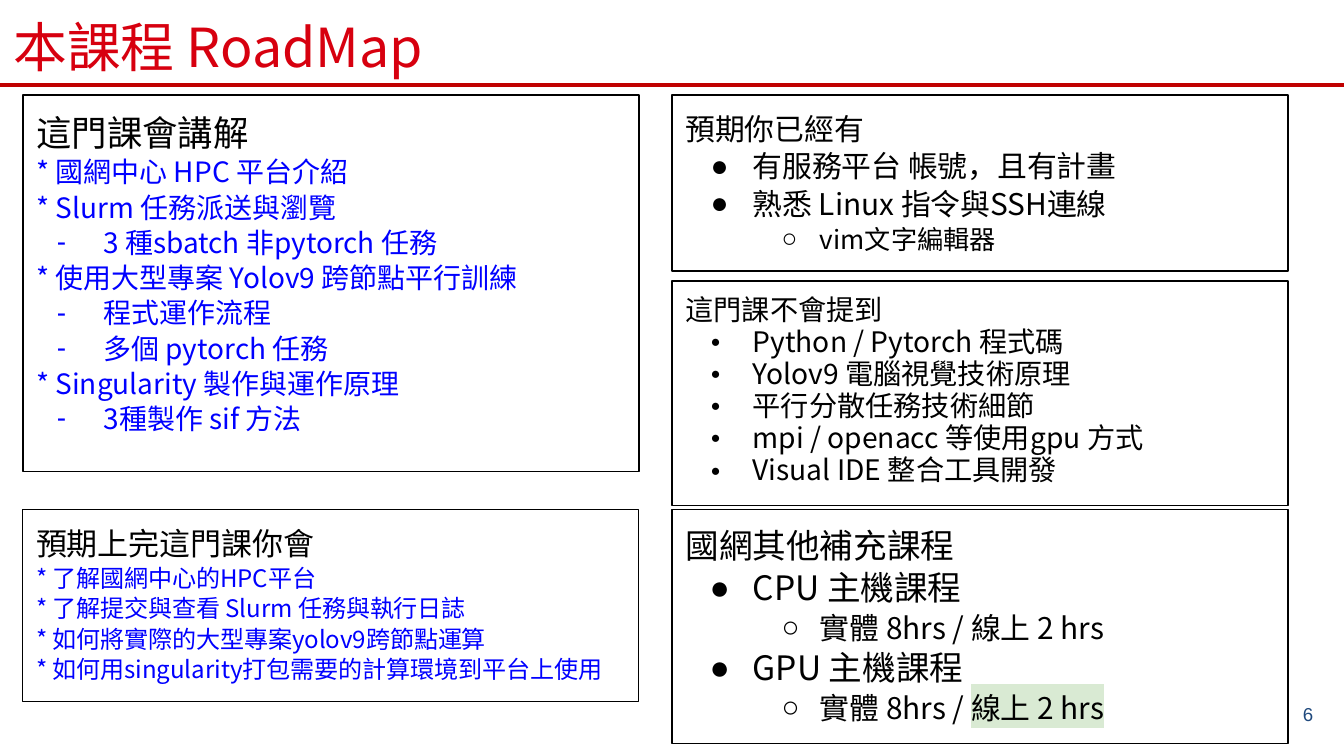
from dataclasses import dataclass
from lxml.etree import SubElement
from pptx import Presentation
from pptx.dml.color import RGBColor as RGB
from pptx.enum.shapes import MSO_CONNECTOR as Link
from pptx.enum.text import MSO_ANCHOR as Anchor, MSO_AUTO_SIZE as Fit, PP_ALIGN as Align
from pptx.oxml.ns import qn
from pptx.util import Pt


@dataclass(frozen=True)
class Theme:
    face: str = "Noto Sans CJK TC"
    plain: str = "Arial"
    black: str = "000000"
    blue: str = "0000FF"
    red: str = "D7000F"
    rule: str = "C00000"
    navy: str = "1F497D"
    glow: str = "D9EAD3"
    title: float = 28.8
    page: float = 10


@dataclass(frozen=True)
class Row:
    text: str
    size: float
    color: str = Theme.black
    mark: str = ""
    hang: float = 0
    level: int = 0
    scale: int = 100
    lit: str = ""


@dataclass(frozen=True)
class Panel:
    left: float
    top: float
    high: float
    rows: list
    space: float = 1.05


THEME = Theme()
LEFT, RIGHT, WIDE = 12.24, 360, 330
PAD = 7.2


def blue(size, *texts):
    return [Row(text, size, THEME.blue) for text in texts]


def dash(text):
    return Row(text, 15, THEME.blue, "-", 25)


def dot(text, size, hang=22.5, scale=100):
    return Row(text, size, mark="●", hang=hang, scale=scale)


def ring(text, size, lit=""):
    return Row(text, size, mark="○", hang=20.5, level=1, lit=lit)


PANELS = [
    Panel(LEFT, 51, 201.6, [
        Row("這門課會講解", 19),
        *blue(15, "* 國網中心 HPC 平台介紹", "* Slurm 任務派送與瀏覽"),
        dash("3 種sbatch 非pytorch 任務"),
        *blue(15, "* 使用大型專案 Yolov9 跨節點平行訓練"),
        dash("程式運作流程"),
        dash("多個 pytorch 任務"),
        *blue(15, "* Singularity 製作與運作原理"),
        dash("3種製作 sif 方法"),
    ]),
    Panel(RIGHT, 51, 94.3, [
        Row("預期你已經有", 16),
        dot("有服務平台 帳號，且有計畫", 16),
        dot("熟悉 Linux 指令與SSH連線", 16),
        ring("vim文字編輯器", 14),
    ]),
    Panel(RIGHT, 150.5, 120.2, [
        Row("這門課不會提到", 15.1),
        *[dot(text, 15.1, scale=59) for text in (
            "Python / Pytorch 程式碼",
            "Yolov9 電腦視覺技術原理",
            "平行分散任務技術細節",
            "mpi / openacc 等使用gpu 方式",
            "Visual IDE 整合工具開發",
        )],
    ], 0.95),
    Panel(RIGHT, 273, 125.3, [
        Row("國網其他補充課程", 18),
        dot("CPU 主機課程", 18, 23),
        ring("實體 8hrs / 線上 2 hrs", 16),
        dot("GPU 主機課程", 18, 23),
        ring("實體 8hrs / ", 16, "線上 2 hrs"),
    ]),
    Panel(LEFT, 273, 103, [
        Row("預期上完這門課你會", 16.6),
        *blue(12.9, "* 了解國網中心的HPC平台",
              "* 了解提交與查看 Slurm 任務與執行日誌",
              "* 如何將實際的大型專案yolov9跨節點運算",
              "* 如何用singularity打包需要的計算環境到平台上使用"),
    ]),
]


def place(shape, left, top, wide, high, anchor=Anchor.TOP):
    shape.left, shape.top = Pt(left), Pt(top)
    shape.width, shape.height = Pt(wide), Pt(high)
    frame = shape.text_frame
    frame.word_wrap = True
    frame.auto_size = Fit.NONE
    frame.vertical_anchor = anchor
    frame.margin_left = frame.margin_right = Pt(PAD)
    frame.margin_top = frame.margin_bottom = Pt(PAD)
    return frame


def style(para, size, color, face=THEME.face):
    font = para.font
    font.size, font.bold, font.name = Pt(size), False, face
    font.color.rgb = RGB.from_string(color)
    props = para._p.get_or_add_pPr().find(qn("a:defRPr"))
    SubElement(props, qn("a:ea"), typeface=face)


def bullet(para, row):
    """Set the indent and the mark, or clear an inherited mark."""
    props = para._p.get_or_add_pPr()
    edge = 36 * (row.level + 1) if row.mark else 0
    props.set("marL", str(Pt(edge)))
    props.set("indent", str(-Pt(row.hang)))
    if not row.mark:
        SubElement(props, qn("a:buNone"))
        return
    tint = SubElement(props, qn("a:buClr"))
    SubElement(tint, qn("a:srgbClr"), val=row.color)
    SubElement(props, qn("a:buSzPct"), val=str(row.scale * 1000))
    SubElement(props, qn("a:buFont"), typeface=THEME.plain)
    SubElement(props, qn("a:buChar"), char=row.mark)


def light(run):
    """Put a highlight behind a run."""
    back = SubElement(run._r.get_or_add_rPr(), qn("a:highlight"))
    SubElement(back, qn("a:srgbClr"), val=THEME.glow)


def fill_row(para, row, space):
    para.level = row.level
    para.alignment = Align.LEFT
    para.line_spacing = space
    para.space_before = para.space_after = Pt(0)
    bullet(para, row)
    style(para, row.size, row.color)
    para.add_run().text = row.text
    if row.lit:
        run = para.add_run()
        run.text = row.lit
        light(run)


def draw_panel(shape, panel):
    frame = place(shape, panel.left, panel.top, WIDE, panel.high)
    shape.line.color.rgb = RGB.from_string(THEME.black)
    shape.line.width = Pt(0.75)
    for i, row in enumerate(panel.rows):
        para = frame.add_paragraph() if i else frame.paragraphs[0]
        fill_row(para, row, panel.space)


def draw_title(shape, text):
    para = place(shape, 0, 0, 671, 45.4).paragraphs[0]
    para.alignment = Align.LEFT
    style(para, THEME.title, THEME.red)
    para.add_run().text = text


def draw_rule(shapes):
    line = shapes.add_connector(Link.STRAIGHT, 0, Pt(45.4), Pt(720), Pt(45.4))
    line.line.color.rgb = RGB.from_string(THEME.rule)
    line.line.width = Pt(2.25)
    SubElement(line._element.spPr, qn("a:effectLst"))


def draw_page(shapes, text):
    box = shapes.add_textbox(0, 0, 0, 0)
    para = place(box, 667.4, 367.2, 43.2, 31, Anchor.MIDDLE).paragraphs[0]
    para.alignment = Align.RIGHT
    style(para, THEME.page, THEME.navy, THEME.plain)
    para.add_run().text = text


def main():
    deck = Presentation()
    deck.slide_width, deck.slide_height = Pt(720), Pt(405)
    slide = deck.slides.add_slide(deck.slide_layouts.get_by_name("Comparison"))
    shapes = slide.shapes
    title, *bodies = slide.placeholders
    draw_rule(shapes)
    draw_title(title, "本課程 RoadMap")
    bodies.append(shapes.add_textbox(0, 0, 0, 0))
    for shape, panel in zip(bodies, PANELS):
        draw_panel(shape, panel)
    draw_page(shapes, "6")
    deck.save("out.pptx")


if __name__ == "__main__":
    main()
